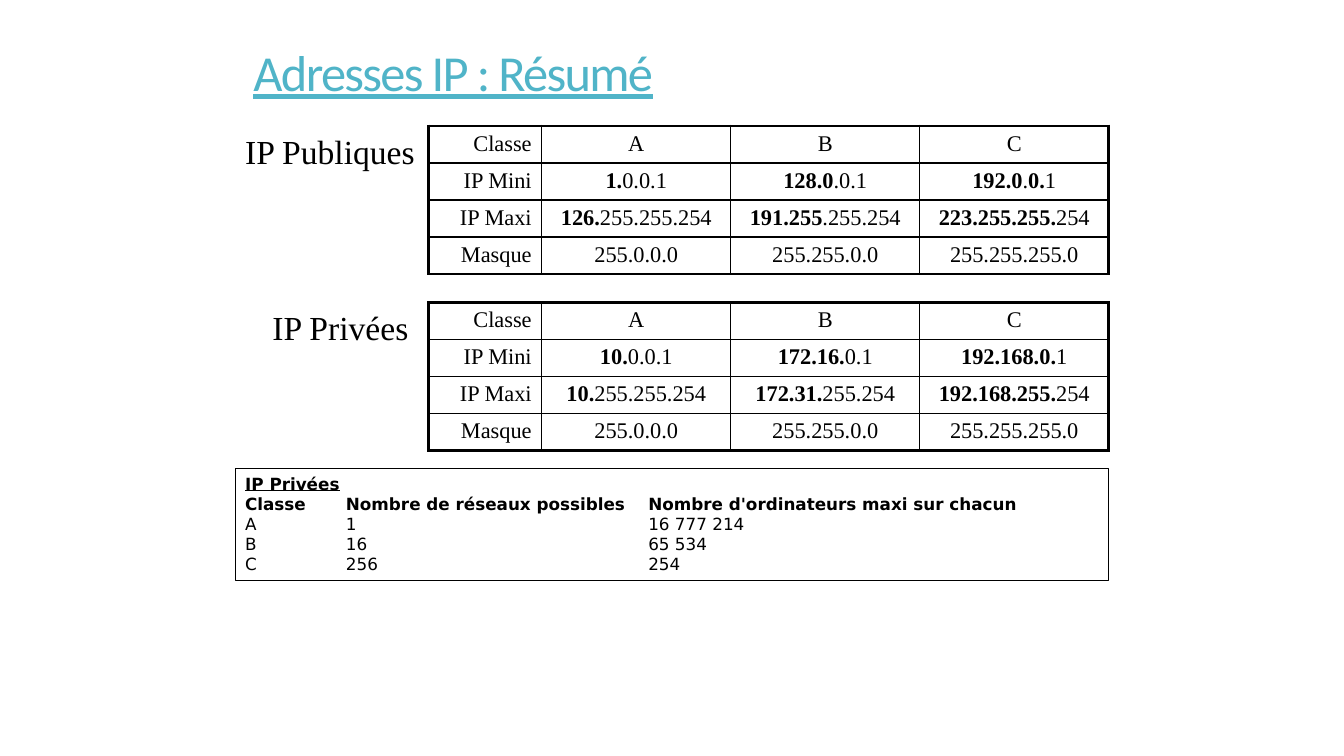
"""Build the IP address summary slide."""
from dataclasses import dataclass

from lxml import etree
from pptx import Presentation
from pptx.dml.color import RGBColor
from pptx.enum import shapes, text
from pptx.oxml import parse_xml
from pptx.oxml.ns import nsdecls, qn
from pptx.util import Pt

PX = 9525
BLACK = RGBColor(0x00, 0x00, 0x00)
TEAL = RGBColor(0x50, 0xB4, 0xC8)
SERIF = "Times New Roman"
TABLE_LEFT = 408
COLUMNS = (108, 180, 180, 180)
ROW_HEIGHT = 35
SUMMARY_TABS = (96, 384)
THIN, THICK = 1, 2.25


@dataclass
class AddressTable:
    """A labelled table of address ranges; bold text stands between asterisks."""
    label: str
    label_left: int
    label_width: int
    top: int
    lowest: tuple[str, ...]
    highest: tuple[str, ...]

    def rows(self) -> list[tuple[str, ...]]:
        """Return all rows, header first."""
        return [
            ("Classe", "A", "B", "C"),
            ("IP Mini", *self.lowest),
            ("IP Maxi", *self.highest),
            ("Masque", "255.0.0.0", "255.255.0.0", "255.255.255.0"),
        ]


ADDRESS_TABLES = [
    AddressTable("IP Publiques", 224, 182, 120,
                 ("*1.*0.0.1", "*128.0*.0.1", "*192.0*.*0.*1"),
                 ("*126.*255.255.254", "*191.255*.255.254", "*223.255.255.*254")),
    AddressTable("IP Privées", 250, 150, 288,
                 ("*10.*0.0.1", "*172.16.*0.1", "*192.168.0.*1"),
                 ("*10.*255.255.254", "*172.31.*255.254", "*192.168.255.*254")),
]
SUMMARY = [
    "IP Privées",
    "Classe\tNombre de réseaux possibles\tNombre d'ordinateurs maxi sur chacun",
    "A\t1\t16 777 214",
    "B\t16\t65 534",
    "C\t256\t254",
]


def set_font(p, name: str, size: int, color: RGBColor = BLACK) -> None:
    """Set the font shared by all runs of a paragraph."""
    p.font.name = name
    p.font.size = Pt(size)
    p.font.color.rgb = color


def add_text(s, box: tuple[int, ...], words: str):
    """Add a one-paragraph text box and return its frame."""
    tf = s.shapes.add_textbox(*(v * PX for v in box)).text_frame
    tf.text = words
    return tf


def add_title(s) -> None:
    """Add the underlined slide title."""
    tf = add_text(s, (232, 24, 816, 96), "Adresses IP : Résumé")
    tf.word_wrap = True
    tf.vertical_anchor = text.MSO_ANCHOR.MIDDLE
    p = tf.paragraphs[0]
    p.line_spacing = 0.9
    set_font(p, "Calibri", 36, TEAL)
    p.font.underline = True
    p.runs[0]._r.get_or_add_rPr().set("spc", "-120")


def set_borders(cell, widths: tuple[float, ...]) -> None:
    """Draw the left, right, top and bottom borders of a cell."""
    tc_pr = cell._tc.get_or_add_tcPr()
    for i, (side, width) in enumerate(zip("LRTB", widths)):
        tc_pr.insert(i, parse_xml(
            f'<a:ln{side} {nsdecls("a")} w="{Pt(width)}"><a:solidFill>'
            f'<a:srgbClr val="{BLACK}"/></a:solidFill></a:ln{side}>'))


def add_address_table(s, spec_table: AddressTable) -> None:
    """Add a table of addresses with its label."""
    label = add_text(s, (spec_table.label_left, spec_table.top, spec_table.label_width, 48),
                     spec_table.label)
    label.word_wrap = False
    set_font(label.paragraphs[0], SERIF, 24)

    rows = spec_table.rows()
    n_rows, n_cols = len(rows), len(COLUMNS)
    table = s.shapes.add_table(n_rows, n_cols, TABLE_LEFT * PX, spec_table.top * PX,
                               sum(COLUMNS) * PX, n_rows * ROW_HEIGHT * PX).table
    table.first_row = table.horz_banding = False
    for column, width in zip(table.columns, COLUMNS):
        column.width = width * PX
    for i, row in enumerate(rows):
        table.rows[i].height = ROW_HEIGHT * PX
        for j, words in enumerate(row):
            cell = table.cell(i, j)
            cell.fill.background()
            p = cell.text_frame.paragraphs[0]
            p.alignment = text.PP_ALIGN.CENTER if j else text.PP_ALIGN.RIGHT
            set_font(p, SERIF, 16)
            for k, part in enumerate(words.split("*")):
                if part:
                    r = p.add_run()
                    r.text = part
                    r.font.bold = k % 2 == 1
            outer = (j == 0, j == n_cols - 1, i == 0, i == n_rows - 1)
            set_borders(cell, tuple(THICK if edge else THIN for edge in outer))


def add_summary(s) -> None:
    """Add the framed summary of private networks."""
    sp = s.shapes.add_shape(shapes.MSO_SHAPE.RECTANGLE,
                            *(v * PX for v in (224, 446, 832, 107)))
    sp.shadow.inherit = False
    sp.fill.background()
    sp.line.color.rgb = BLACK
    sp.line.width = Pt(0.75)
    tf = sp.text_frame
    tf.word_wrap = True
    tf.vertical_anchor = text.MSO_ANCHOR.TOP
    for i, line in enumerate(SUMMARY):
        p = tf.add_paragraph() if i else tf.paragraphs[0]
        p.alignment = text.PP_ALIGN.LEFT if i else text.PP_ALIGN.JUSTIFY
        tabs = etree.SubElement(p._p.get_or_add_pPr(), qn("a:tabLst"))
        for stop in SUMMARY_TABS:
            etree.SubElement(tabs, qn("a:tab"), pos=str(stop * PX), algn="l")
        p.add_run().text = line
        set_font(p, "DejaVu Sans", 12)
        p.font.bold = i < 2
        p.font.underline = i == 0


def main() -> None:
    """Build and save the slide."""
    prs = Presentation()
    prs.slide_width, prs.slide_height = 1280 * PX, 720 * PX
    s = prs.slides.add_slide(prs.slide_layouts[6])
    add_title(s)
    add_summary(s)
    for address_table in ADDRESS_TABLES:
        add_address_table(s, address_table)
    prs.save("out.pptx")


if __name__ == "__main__":
    main()
